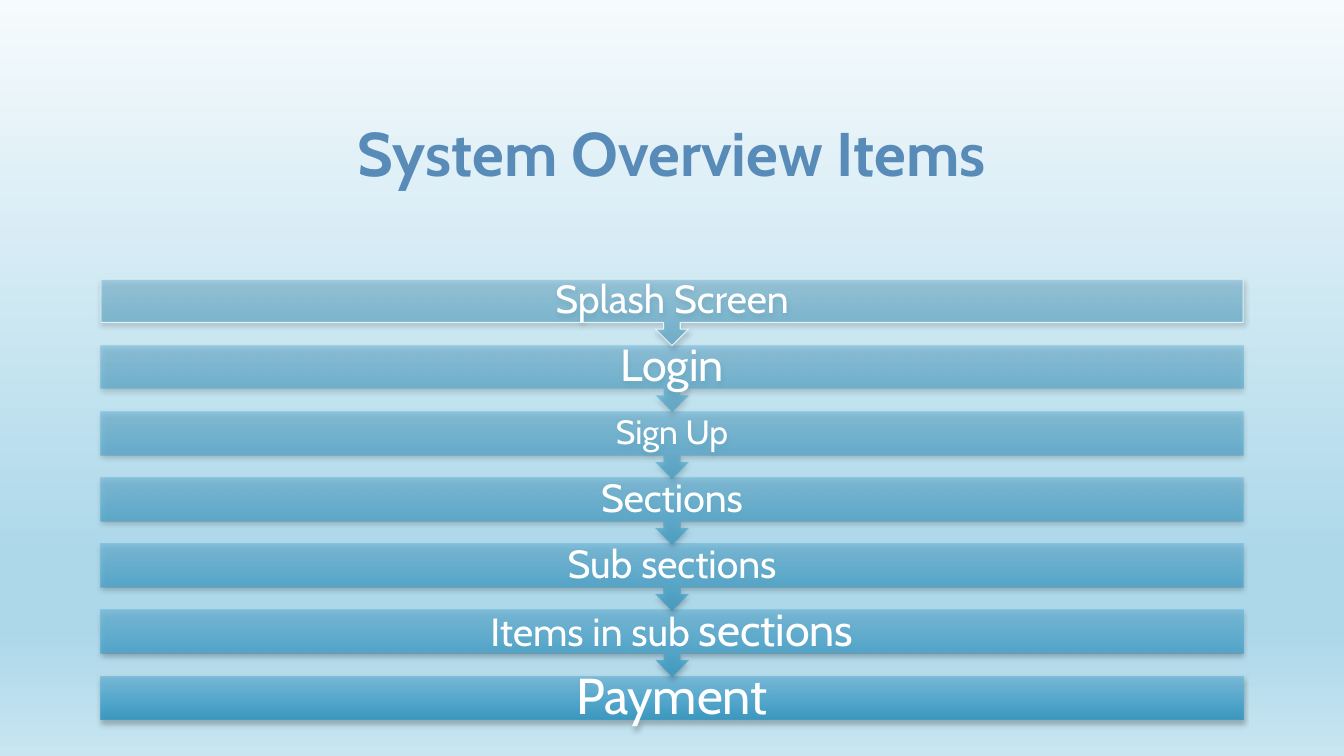
"""Builds the System Overview Items slide."""
import pptx
import pptx.dml.color
import pptx.enum.shapes
import pptx.enum.text
import pptx.oxml
import pptx.oxml.ns
import pptx.util
from pptx.util import Inches

RGBColor = pptx.dml.color.RGBColor
SHAPE = pptx.enum.shapes.MSO_SHAPE
TITLE_BLUE = RGBColor(0x58, 0x8B, 0xB8)
WHITE = RGBColor(0xFF, 0xFF, 0xFF)
PALE_LINE = RGBColor(0xEA, 0xF1, 0xF6)
SKY = RGBColor(0xAD, 0xD8, 0xEA)
BACKGROUND = [(0, RGBColor(0xF6, 0xFB, 0xFD)), (74, SKY), (83, SKY),
              (100, RGBColor(0xC8, 0xE5, 0xF1))]
BAR_BLUES = [(0, RGBColor(0x76, 0xB9, 0xD9)), (50, RGBColor(0x52, 0xAA, 0xD1)),
             (100, RGBColor(0x33, 0x96, 0xC0))]

FONT = "Cabin"
LEFT, WIDTH = 1, 11.33
FIRST_TOP, LAST_TOP = 2.77, 6.71
BAR_HEIGHT, CALLOUT_HEIGHT = 0.43, 0.66
STEPS = [
    [("Splash Screen", 28)],
    [("Login", 32)],
    [("Sign Up", 24)],
    [("Sections", 28)],
    [("Sub sections", 28)],
    [("Items in sub ", 28), ("sections", 32)],
    [("Payment", 36)],
]


def add_xml(parent, xml):
    """Append a drawing element given as text."""
    head, tail = xml.split(" ", 1)
    ns = pptx.oxml.ns.nsdecls("a")
    parent.append(pptx.oxml.parse_xml(f"{head} {ns} {tail}"))


def set_gradient(fill, element, stops, opacity=100):
    """Fill from top to bottom through the given colour stops."""
    fill.gradient()
    fill.gradient_angle = 270
    gs_list = element.find(".//" + pptx.oxml.ns.qn("a:gsLst"))
    for gs in list(gs_list):
        gs_list.remove(gs)
    for pos, color in stops:
        add_xml(gs_list, f'<a:gs pos="{pos * 1000}"><a:srgbClr val="{color}">'
                         f'<a:alpha val="{round(opacity * 1000)}"/></a:srgbClr></a:gs>')


def add_shadow(sp):
    """Give a shape a soft shadow straight below it."""
    sp.shadow.inherit = False
    effects = sp.element.spPr.find(pptx.oxml.ns.qn("a:effectLst"))
    add_xml(effects, '<a:outerShdw blurRad="50800" dist="25400" dir="5400000" '
                     'rotWithShape="0"><a:srgbClr val="000000">'
                     '<a:alpha val="28000"/></a:srgbClr></a:outerShdw>')


def write_text(sp, runs, color, bold=False):
    """Write one centred line of runs in a shape."""
    tf = sp.text_frame
    tf.word_wrap = True
    tf.vertical_anchor = pptx.enum.text.MSO_ANCHOR.MIDDLE
    tf.margin_top = tf.margin_bottom = 0
    p = tf.paragraphs[0]
    p.alignment = pptx.enum.text.PP_ALIGN.CENTER
    p.line_spacing = 0.9
    p.font.name = FONT
    p.font.bold = bold
    p.font.color.rgb = color
    for text, size in runs:
        r = p.add_run()
        r.text = text
        r.font.size = pptx.util.Pt(size)


def add_title(s, text):
    """Add the slide heading."""
    sp = s.shapes.add_textbox(Inches(LEFT), Inches(0.68), Inches(WIDTH), Inches(1.75))
    write_text(sp, [(text, 44)], TITLE_BLUE, bold=True)


def add_step(s, index, runs):
    """Add one bar of the flow, with an arrow unless it is the last."""
    last = len(STEPS) - 1
    top = FIRST_TOP + index * (LAST_TOP - FIRST_TOP) / last
    if index == last:
        kind, height = SHAPE.RECTANGLE, BAR_HEIGHT
    else:
        kind, height = SHAPE.DOWN_ARROW_CALLOUT, CALLOUT_HEIGHT
    sp = s.shapes.add_shape(kind, Inches(LEFT), Inches(top), Inches(WIDTH), Inches(height))
    set_gradient(sp.fill, sp.element, BAR_BLUES, 50 + 40 * index / last)
    if index == 0:
        sp.line.color.rgb = PALE_LINE
        sp.line.width = pptx.util.Pt(0.75)
    else:
        sp.line.fill.background()
    add_shadow(sp)
    write_text(sp, runs, WHITE)


def main():
    """Build and save the slide."""
    prs = pptx.Presentation()
    prs.slide_width, prs.slide_height = Inches(13.33), Inches(7.5)
    s = prs.slides.add_slide(prs.slide_layouts[6])
    set_gradient(s.background.fill, s.element, BACKGROUND)
    add_title(s, "System Overview Items")
    for index, runs in reversed(list(enumerate(STEPS))):
        add_step(s, index, runs)
    prs.save("out.pptx")


if __name__ == "__main__":
    main()
